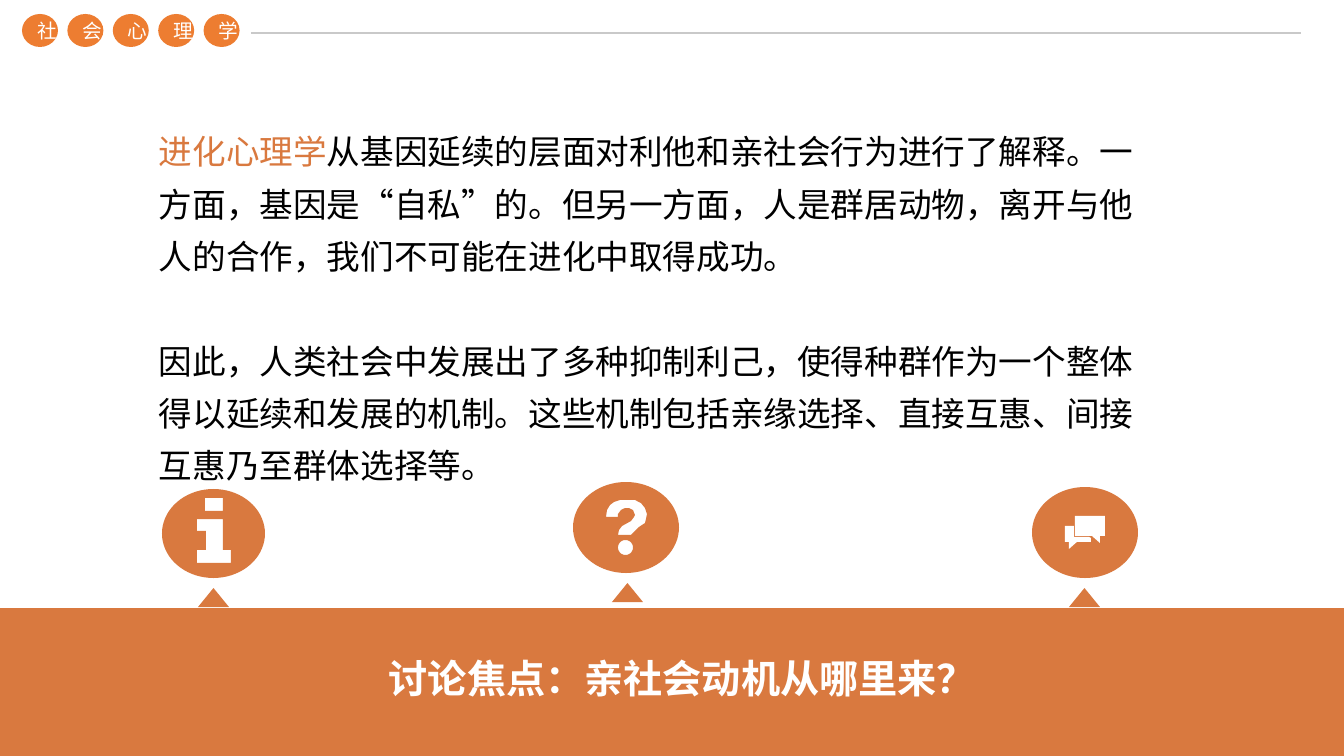
from math import cos, sin, pi
from pptx import Presentation
from pptx.dml.color import RGBColor
from pptx.enum.shapes import MSO_CONNECTOR, MSO_SHAPE
from pptx.enum.text import MSO_ANCHOR, PP_ALIGN
from pptx.oxml.ns import qn
from pptx.util import Pt
from lxml import etree

LINE = MSO_CONNECTOR.STRAIGHT
OVAL, RECT, PEAK = MSO_SHAPE.OVAL, MSO_SHAPE.RECTANGLE, MSO_SHAPE.ISOSCELES_TRIANGLE
MID, MID_ROW = PP_ALIGN.CENTER, MSO_ANCHOR.MIDDLE
ORANGE = RGBColor(0xED, 0x7D, 0x31)
RUST = RGBColor(0xD9, 0x79, 0x3F)
GREY = RGBColor(0xC9, 0xC9, 0xC9)
WHITE = RGBColor(255, 255, 255)
BLACK = RGBColor(0, 0, 0)
FACE = "Noto Sans CJK SC"
SCALE = 914400 / 100.8  # EMU in one px

# Content
COURSE = "社会心理学"
FOCUS = "讨论焦点：亲社会动机从哪里来？"
BODY = [
    [("进化心理学", RUST),
     ("从基因延续的层面对利他和亲社会行为进行了解释。一方面，基因是“自私”的。"
      "但另一方面，人是群居动物，离开与他人的合作，我们不可能在进化中取得成功。", BLACK)],
    [("因此，人类社会中发展出了多种抑制利己，使得种群作为一个整体得以延续和发展的机制。"
      "这些机制包括亲缘选择、直接互惠、间接互惠乃至群体选择等。", BLACK)],
]

# Text formats
BADGE = {"size": Pt(14), "name": FACE}
PROSE = {"size": Pt(24), "name": FACE}
TITLE = {"size": Pt(28), "name": FACE, "bold": True}

# Icon outlines in px
PEAKS = [(198, 588), (612, 583), (1069, 588)]
INFO_DOT = [(205, 498), (223, 498), (223, 511), (205, 511)]
INFO_STEM = [(197, 519), (223, 519), (223, 550), (231, 550), (231, 563),
             (197, 563), (197, 550), (206, 550), (206, 531), (197, 531)]
HOOK = [(606, 517), (607, 510), (610, 505), (614, 502), (620, 500), (627, 500),
        (635, 500), (641, 503), (645, 508), (647, 514), (646, 519), (645, 523),
        (639, 527), (635, 531), (632, 534), (631, 535), (618, 535), (619, 530),
        (622, 526), (631, 521), (634, 517), (635, 515), (633, 510), (629, 508),
        (625, 508), (621, 510), (618, 514), (618, 517)]
BACK_TALK = [(1065, 526), (1074, 526), (1074, 537), (1089, 537), (1091, 538),
             (1091, 542), (1077, 542), (1069, 549), (1069, 542), (1065, 542)]
FRONT_TALK = [(1075, 516), (1105, 516), (1105, 536), (1100, 536), (1100, 543),
              (1092, 536), (1075, 536)]


def px(*nums):
    return [round(n * SCALE) for n in nums]


def ring(x, y, w, h, count=72):
    turns = [2 * pi * i / count for i in range(count)]
    return [(x + w / 2 * (1 + cos(t)), y + h / 2 * (1 + sin(t))) for t in turns]


def paint(shape, color):
    shape.shadow.inherit = False
    shape.fill.solid()
    shape.fill.fore_color.rgb = color
    shape.line.fill.background()
    return shape


def add_form(kind, box, color):
    return paint(shapes.add_shape(kind, *px(*box)), color)


def add_path(rings, color):
    pen = shapes.build_freeform(*px(*rings[0][0]), scale=1.0)
    for i, ends in enumerate(rings):
        if i:
            pen.move_to(*px(*ends[0]))
        pen.add_line_segments([px(*p) for p in ends[1:]], close=True)
    return paint(pen.convert_to_shape(), color)


def add_run(para, text, color, style):
    run = para.add_run()
    run.text = text
    for key, value in style.items():
        setattr(run.font, key, value)
    run.font.color.rgb = color
    east = etree.SubElement(run.font._element, qn("a:ea"))
    east.set("typeface", FACE)


def add_text(box, paras, style, wrap):
    frame = shapes.add_textbox(*px(*box)).text_frame
    frame.word_wrap = wrap
    for i, runs in enumerate(paras):
        para = frame.add_paragraph() if i else frame.paragraphs[0]
        para.line_spacing = 1.3
        if i:
            para.space_before = Pt(37.3)
        for text, color in runs:
            add_run(para, text, color, style)


deck = Presentation()
deck.slide_width, deck.slide_height = px(1344, 756)
shapes = deck.slides.add_slide(deck.slide_layouts[6]).shapes

# Header rule and course badges
rule = shapes.add_connector(LINE, *px(251, 33, 1301, 33))
rule.line.color.rgb = GREY
rule.line.width = Pt(1)
etree.SubElement(rule._element.spPr, qn("a:effectLst"))
for i, char in enumerate(COURSE):
    badge = add_form(OVAL, (22 + 45.4 * i, 14, 36, 33), ORANGE)
    badge.text_frame.vertical_anchor = MID_ROW
    para = badge.text_frame.paragraphs[0]
    para.alignment = MID
    add_run(para, char, WHITE, BADGE)

# Bottom band and icons
add_form(RECT, (0, 608, 1344, 148), RUST)
for left, top in PEAKS:
    add_form(PEAK, (left, top, 31, 19), RUST)
add_path([ring(162, 489, 103, 89), INFO_STEM, INFO_DOT], RUST)
add_path([ring(573, 482, 106, 91), HOOK, ring(618, 540, 15, 15)], RUST)
add_form(OVAL, (1032, 487, 106, 91), RUST)
add_path([BACK_TALK, FRONT_TALK], WHITE)

# Focus line and body
add_text((379, 635, 614, 72), [[(FOCUS, WHITE)]], TITLE, False)
add_text((149, 114, 1011, 381), BODY, PROSE, True)

deck.save("out.pptx")
